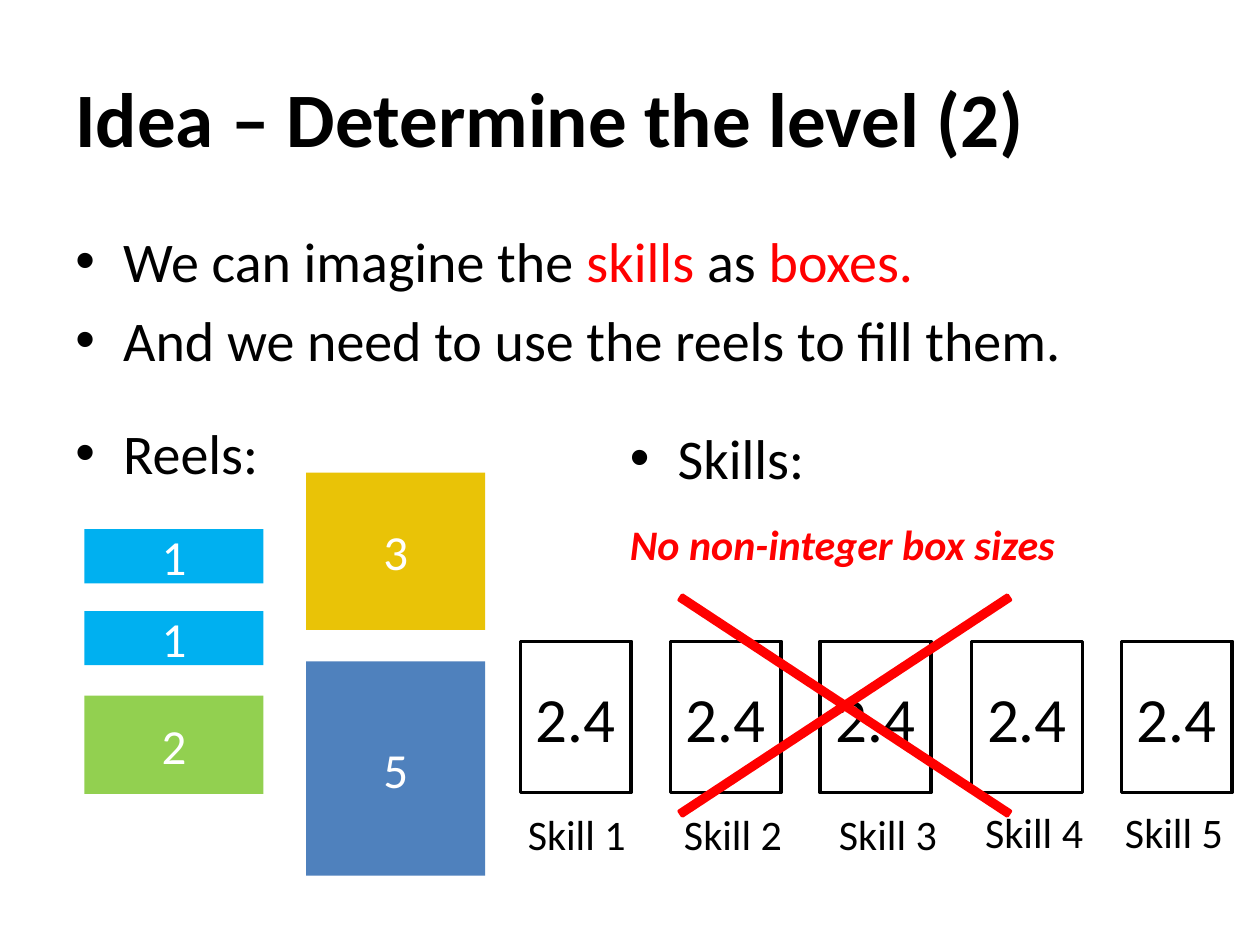
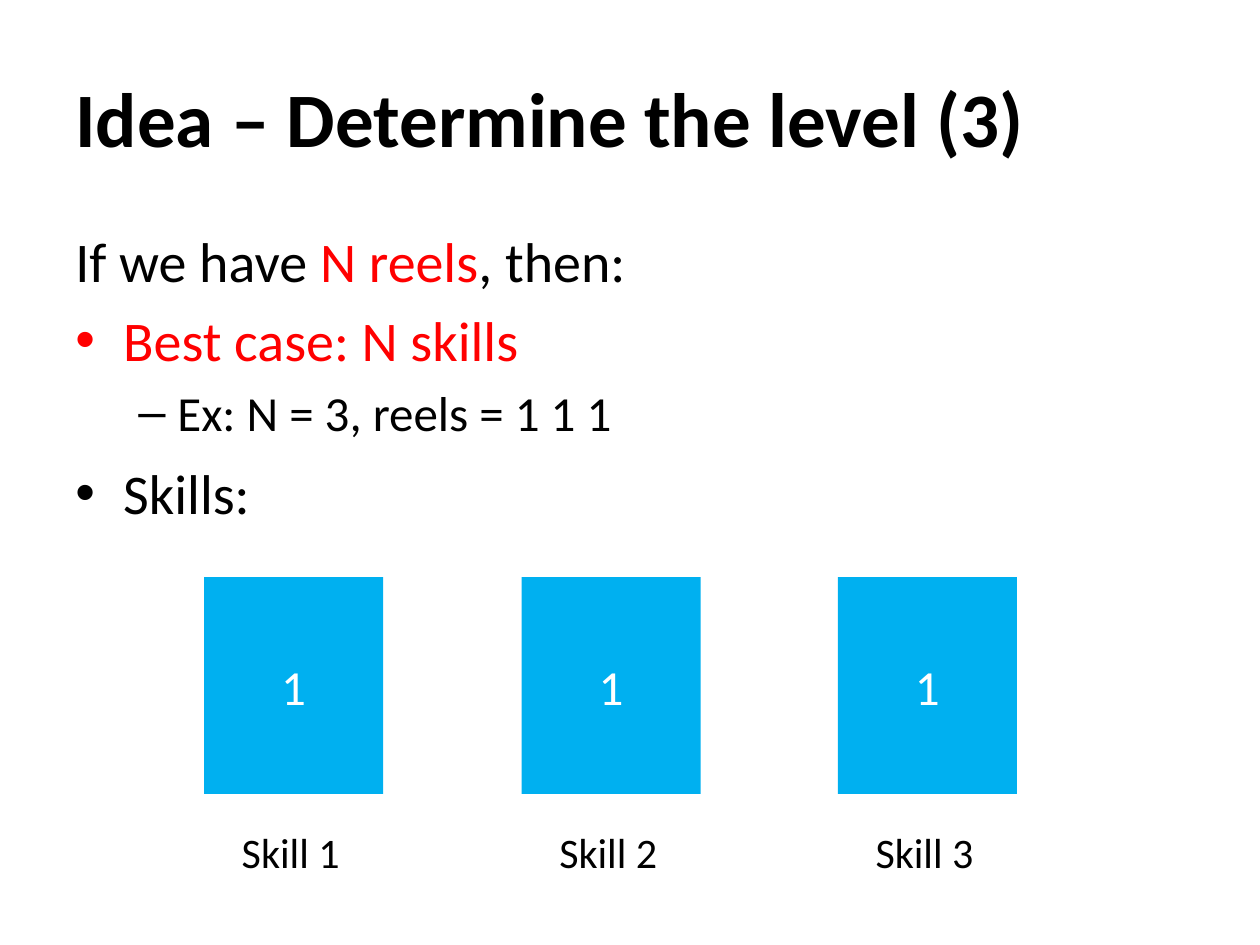
from dataclasses import dataclass
from typing import NamedTuple

import pptx
import pptx.dml.color
import pptx.enum.shapes
import pptx.enum.text
import pptx.oxml.ns
import pptx.presentation
import pptx.shapes.autoshape
import pptx.slide
import pptx.text.text
import pptx.util
from lxml import etree

PX_PER_INCH = 100
FONT = "Calibri"
BLACK, WHITE, RED = "000000", "FFFFFF", "FF0000"
SKY, GREEN, GOLD, BLUE = "00B0F0", "92D050", "E9C307", "4F81BD"
MIDDLE = pptx.enum.text.MSO_ANCHOR.MIDDLE
RECTANGLE = pptx.enum.shapes.MSO_SHAPE.RECTANGLE
REEL_WIDTH = 142
LABEL_WIDTH, LABEL_HEIGHT = 102, 47


class Area(NamedTuple):
    left: int
    top: int
    width: int
    height: int


class Span(NamedTuple):
    text: str
    color: str = BLACK


@dataclass(frozen=True)
class Line:
    spans: tuple[Span, ...]
    size: int = 32
    bullet: str = ""
    level: int = 0
    indent: int = 38
    hanging: int = 38
    space: float = 0.2
    bold: bool = False
    italic: bool = False


@dataclass(frozen=True)
class Box:
    area: Area
    value: str
    fill: str
    ink: str = WHITE
    size: int = 28
    outline: str = ""


def px(length: int) -> pptx.util.Emu:
    return pptx.util.Emu(length * pptx.util.Inches(1) // PX_PER_INCH)


def rgb(color: str) -> pptx.dml.color.RGBColor:
    return pptx.dml.color.RGBColor.from_string(color)


def spread(first: int, last: int, count: int) -> list[int]:
    return [first + round(i * (last - first) / (count - 1)) for i in range(count)]


def add_bullet(paragraph: pptx.text.text._Paragraph, line: Line) -> None:
    properties = paragraph._p.get_or_add_pPr()
    properties.set("marL", str(px(line.indent)))
    properties.set("indent", str(-px(line.hanging)))
    etree.SubElement(properties, pptx.oxml.ns.qn("a:buFont"), typeface="Arial")
    etree.SubElement(properties, pptx.oxml.ns.qn("a:buChar"), char=line.bullet)


def add_text(slide: pptx.slide.Slide, area: Area, *lines: Line, anchor=None) -> None:
    frame = slide.shapes.add_textbox(*map(px, area)).text_frame
    frame.word_wrap = True
    frame.vertical_anchor = anchor
    for number, line in enumerate(lines):
        paragraph = frame.add_paragraph() if number else frame.paragraphs[0]
        paragraph.level = line.level
        paragraph.space_before = pptx.util.Pt(line.size * line.space)
        if line.bullet:
            add_bullet(paragraph, line)
        font = paragraph.font
        font.name, font.size = FONT, pptx.util.Pt(line.size)
        font.bold, font.italic = line.bold, line.italic
        if len(line.spans) == 1:
            font.color.rgb = rgb(line.spans[0].color)
        for span in line.spans:
            run = paragraph.add_run()
            run.text = span.text
            if len(line.spans) > 1:
                run.font.color.rgb = rgb(span.color)


def add_figure(slide: pptx.slide.Slide, kind: pptx.enum.shapes.MSO_SHAPE, area: Area,
               fill: str, outline: str) -> pptx.shapes.autoshape.Shape:
    figure = slide.shapes.add_shape(kind, *map(px, area))
    figure.shadow.inherit = False
    figure.fill.solid()
    figure.fill.fore_color.rgb = rgb(fill)
    if outline:
        figure.line.color.rgb = rgb(outline)
        figure.line.width = pptx.util.Pt(2)
    else:
        figure.line.fill.background()
    return figure


def add_box(slide: pptx.slide.Slide, box: Box) -> None:
    frame = add_figure(slide, RECTANGLE, box.area, box.fill, box.outline).text_frame
    frame.vertical_anchor = MIDDLE
    paragraph = frame.paragraphs[0]
    paragraph.text = box.value
    paragraph.alignment = pptx.enum.text.PP_ALIGN.CENTER
    font = paragraph.font
    font.name, font.size = FONT, pptx.util.Pt(box.size)
    font.color.rgb = rgb(box.ink)


def add_label(slide: pptx.slide.Slide, number: int, left: int, top: int) -> None:
    add_text(slide, Area(left, top, LABEL_WIDTH, LABEL_HEIGHT),
             Line((Span(f"Skill {number}"),), size=24))


def add_heading(slide: pptx.slide.Slide, heading: str, left: int, top: int) -> None:
    add_text(slide, Area(left, top, 173, 61), Line((Span(heading),), bullet="•"))


def add_titled_slide(deck: pptx.presentation.Presentation, part: int) -> pptx.slide.Slide:
    slide = deck.slides.add_slide(deck.slide_layouts[6])
    title = Line((Span(f"Idea – Determine the level ({part})"),), size=44, space=0, bold=True)
    add_text(slide, Area(50, 30, 900, 125), title, anchor=MIDDLE)
    return slide


def build_boxes_idea(deck: pptx.presentation.Presentation) -> None:
    slide = add_titled_slide(deck, 2)
    add_text(
        slide, Area(50, 175, 900, 125),
        Line((Span("We can imagine the "), Span("skills", RED), Span(" as "),
              Span("boxes.", RED)), bullet="•"),
        Line((Span("And we need to use the reels to fill them."),), bullet="•"),
    )
    add_heading(slide, "Reels:", 50, 327)
    add_heading(slide, "Skills:", 490, 331)
    reels = (
        (67, 420, 43, "1", SKY),
        (67, 485, 43, "1", SKY),
        (67, 552, 78, "2", GREEN),
        (243, 375, 125, "3", GOLD),
        (243, 525, 170, "5", BLUE),
    )
    for left, top, height, value, fill in reels:
        add_box(slide, Box(Area(left, top, REEL_WIDTH, height), value, fill))
    add_text(slide, Area(490, 407, 401, 57),
             Line((Span("No non-integer box sizes", RED),), size=24, bold=True, italic=True))
    for left in spread(413, 890, 5):
        add_box(slide, Box(Area(left, 509, 88, 120), "2.4", WHITE, BLACK, 36, BLACK))
    cross = add_figure(slide, pptx.enum.shapes.MSO_SHAPE.MATH_MULTIPLY,
                       Area(420, 395, 501, 330), RED, RED)
    cross.adjustments[0] = 0.014
    label_places = ((409, 637), (533, 637), (656, 637), (772, 635), (883, 635))
    for number, place in enumerate(label_places, 1):
        add_label(slide, number, *place)


def build_best_case(deck: pptx.presentation.Presentation) -> None:
    slide = add_titled_slide(deck, 3)
    add_text(
        slide, Area(50, 175, 900, 184),
        Line((Span("If we have "), Span("N reels", RED), Span(", then:"))),
        Line((Span("Best case: N skills", RED),), bullet="•"),
        Line((Span("Ex: N = 3, reels = 1 1 1"),), size=28, bullet="–",
             level=1, indent=81, hanging=31),
    )
    add_heading(slide, "Skills:", 50, 359)
    for number, left in enumerate(spread(162, 665, 3), 1):
        add_box(slide, Box(Area(left, 458, REEL_WIDTH, 172), "1", SKY))
        add_label(slide, number, left + (REEL_WIDTH - LABEL_WIDTH) // 2, 651)


def main() -> None:
    deck = pptx.Presentation()
    deck.slide_width, deck.slide_height = px(1000), px(750)
    build_boxes_idea(deck)
    build_best_case(deck)
    deck.save("out.pptx")


if __name__ == "__main__":
    main()
